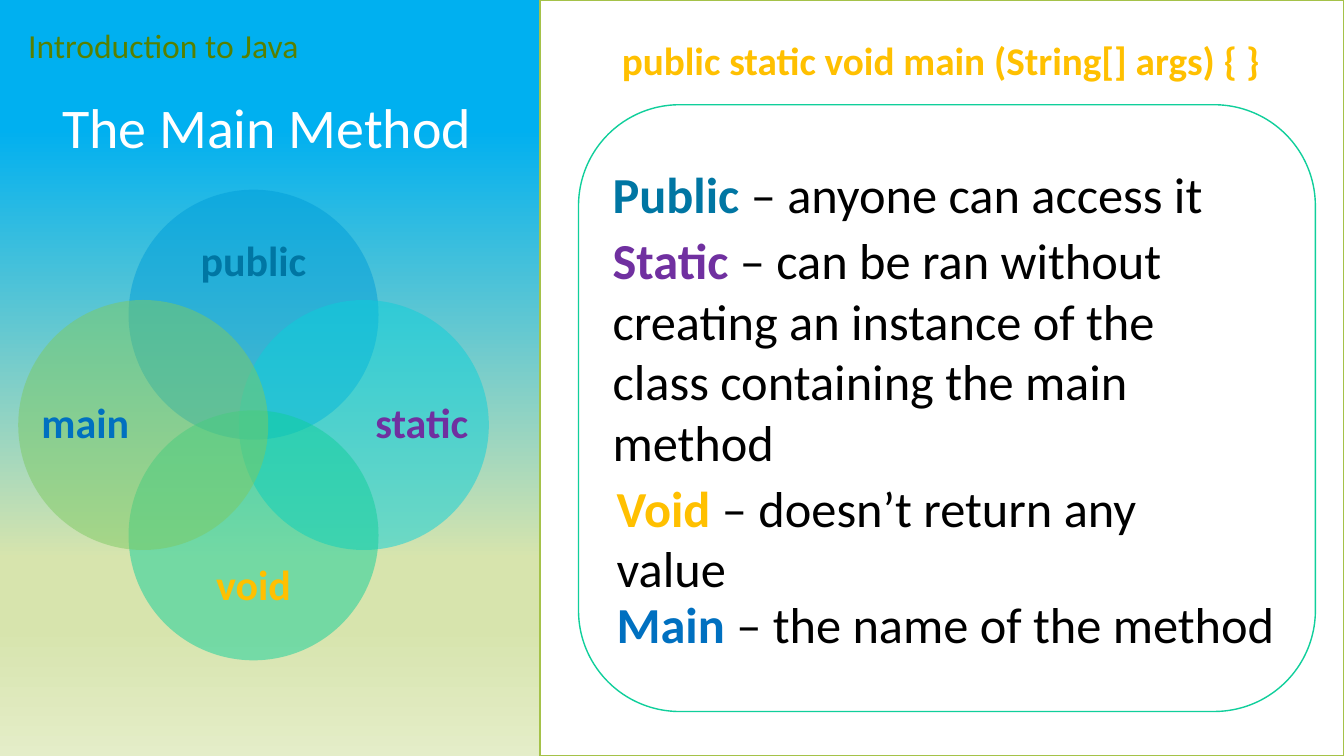
from lxml import etree
from pptx import Presentation
from pptx.dml.color import RGBColor
from pptx.enum.shapes import MSO_SHAPE
from pptx.enum.text import MSO_ANCHOR, MSO_AUTO_SIZE, PP_ALIGN
from pptx.oxml.ns import qn
from pptx.util import Cm, Pt

RECTANGLE = MSO_SHAPE.RECTANGLE
ROUNDED = MSO_SHAPE.ROUNDED_RECTANGLE
CIRCLE = MSO_SHAPE.OVAL
MIDDLE = MSO_ANCHOR.MIDDLE
CENTER = PP_ALIGN.CENTER
GROW = MSO_AUTO_SIZE.SHAPE_TO_FIT_TEXT

WHITE = RGBColor(0xFF, 0xFF, 0xFF)
BLACK = RGBColor(0x00, 0x00, 0x00)
LIME = RGBColor(0xA5, 0xC2, 0x49)
OLIVE = RGBColor(0x57, 0x80, 0x00)
MINT = RGBColor(0x10, 0xCF, 0x9B)
SKY = RGBColor(0x00, 0x9D, 0xD9)
AQUA = RGBColor(0x0B, 0xD0, 0xD9)
LEAF = RGBColor(0x7C, 0xCA, 0x62)
TEAL = RGBColor(0x00, 0x76, 0xA3)
PURPLE = RGBColor(0x70, 0x30, 0xA0)
GOLD = RGBColor(0xFF, 0xC0, 0x00)
BLUE = RGBColor(0x00, 0x70, 0xC0)
BACKGROUND_STOPS = [
    (17, RGBColor(0x00, 0xB0, 0xF0)),
    (74, RGBColor(0xD7, 0xE4, 0xAD)),
    (83, RGBColor(0xD7, 0xE4, 0xAD)),
    (100, RGBColor(0xE4, 0xED, 0xC8)),
]

# Venn diagram, in cm
CENTER_X, CENTER_Y = 6.39, 10.71
DIAMETER = 6.3
CIRCLE_OFFSET = 2.78
# word, direction from the centre, circle colour, word colour
PETALS = [
    ("public", (0, -1), SKY, TEAL),
    ("static", (1, 0), AQUA, PURPLE),
    ("void", (0, 1), MINT, GOLD),
    ("main", (-1, 0), LEAF, BLUE),
]

# left, top, width, height in cm, keyword, colour, meaning
DEFINITIONS = [
    (15.19, 3.99, 16.38, 1.8, "Public", TEAL, " – anyone can access it"),
    (15.19, 5.66, 16.38, 6.4, "Static", PURPLE,
     " – can be ran without creating an instance of the class "
     "containing the main method"),
    (15.29, 14.81, 17.09, 1.8, "Main", BLUE, " – the name of the method"),
    (15.29, 11.89, 16.38, 3.33, "Void ", GOLD, "– doesn’t return any value"),
]


class SlideBuilder:
    font = "Calibri"

    def __init__(self, page):
        self.page = page
        self.target = page.shapes

    def background(self, stops):
        fill = self.page.background.fill
        fill.gradient()
        fill.gradient_angle = 270
        stop_list = self.page.element.find(".//" + qn("a:gsLst"))
        for old_stop in list(stop_list):
            stop_list.remove(old_stop)
        for percent, color in stops:
            stop = etree.SubElement(stop_list, qn("a:gs"), pos=str(percent * 1000))
            etree.SubElement(stop, qn("a:srgbClr"), val=str(color))

    def group(self):
        """Send the elements that follow into a new group."""
        self.target = self.page.shapes.add_group_shape().shapes

    def ungroup(self):
        self.target = self.page.shapes

    def shape(self, kind, left, top, width, height, fill, line=None, opacity=None):
        shape = self.target.add_shape(kind, Cm(left), Cm(top), Cm(width), Cm(height))
        shape.shadow.inherit = False
        shape.fill.solid()
        shape.fill.fore_color.rgb = fill
        if opacity is not None:
            color = shape.fill._xPr.find(".//" + qn("a:srgbClr"))
            etree.SubElement(color, qn("a:alpha"), val=str(opacity * 1000))
        if line is None:
            shape.line.fill.background()
        else:
            shape.line.color.rgb = line
            shape.line.width = Pt(1)

    def text(self, left, top, width, height, spans, size, align=None, anchor=None,
             inset=None, line_spacing=None, auto_size=None):
        """Add a one-paragraph box; spans are (text, colour, bold)."""
        box = self.target.add_textbox(Cm(left), Cm(top), Cm(width), Cm(height))
        frame = box.text_frame
        frame.word_wrap = True
        if auto_size is not None:
            frame.auto_size = auto_size
        if anchor is not None:
            frame.vertical_anchor = anchor
        if inset is not None:
            frame.margin_left = frame.margin_right = Cm(inset)
            frame.margin_top = frame.margin_bottom = Cm(inset)
        para = frame.paragraphs[0]
        para.alignment = align
        para.line_spacing = line_spacing
        for words, color, bold in spans:
            span = para.add_run()
            span.text = words
            span.font.name = self.font
            span.font.size = Pt(size)
            span.font.bold = bold
            span.font.color.rgb = color

    def petal(self, word, direction, fill, color):
        """Add one circle of the Venn diagram with its word near the outer edge."""
        across, down = direction
        self.shape(CIRCLE,
                   CENTER_X + across * CIRCLE_OFFSET - DIAMETER / 2,
                   CENTER_Y + down * CIRCLE_OFFSET - DIAMETER / 2,
                   DIAMETER, DIAMETER, fill, opacity=50)
        width, height = (2.41, 4.85) if across else (4.85, 2.01)
        self.text(CENTER_X + across * 4.24 - width / 2,
                  CENTER_Y + down * 4.09 - height / 2,
                  width, height, [(word, color, True)], 30,
                  align=CENTER, anchor=MIDDLE, inset=0, line_spacing=0.9)


def main():
    deck = Presentation()
    deck.slide_width, deck.slide_height = Cm(33.87), Cm(19.05)
    builder = SlideBuilder(deck.slides.add_slide(deck.slide_layouts[6]))
    builder.background(BACKGROUND_STOPS)

    builder.shape(RECTANGLE, 13.61, 0, 20.25, 19.05, WHITE, line=LIME)
    builder.shape(ROUNDED, 14.58, 2.64, 18.57, 15.29, WHITE, line=MINT)
    builder.text(0.46, 0.51, 7.47, 1.27, [("Introduction to Java", OLIVE, False)], 24,
                 auto_size=GROW)

    builder.group()
    for petal in PETALS:
        builder.petal(*petal)
    builder.ungroup()

    builder.text(1.32, 1.45, 11, 3.68, [("The Main Method", WHITE, False)], 40,
                 anchor=MIDDLE, line_spacing=0.9)
    builder.text(15.42, 0.79, 16.71, 1.45,
                 [("public static void main (String[] args) { }", GOLD, True)], 28,
                 auto_size=GROW)
    for left, top, width, height, keyword, color, meaning in DEFINITIONS:
        builder.text(left, top, width, height,
                     [(keyword, color, True), (meaning, BLACK, False)], 36,
                     auto_size=GROW)

    deck.save("out.pptx")


if __name__ == "__main__":
    main()
